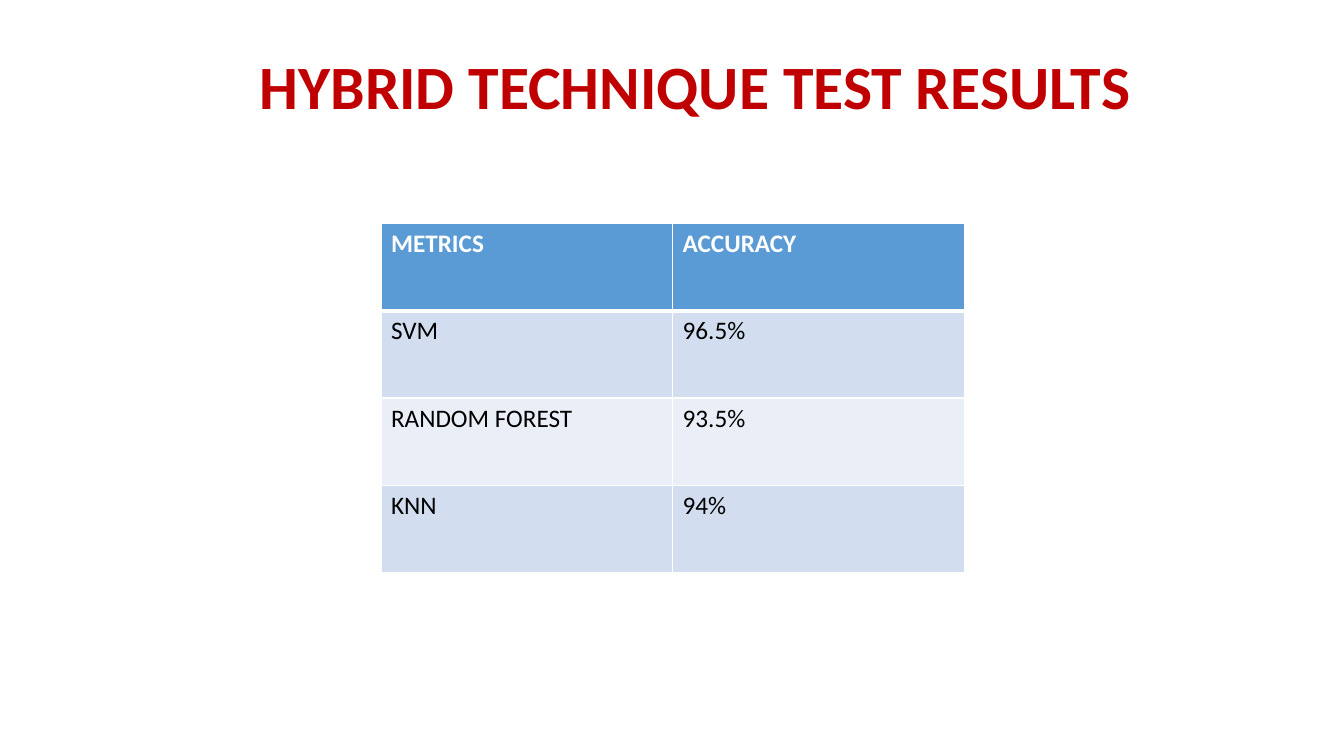
import pptx
import pptx.dml.color
import pptx.enum.text
import pptx.oxml.ns
import pptx.util
import lxml.etree

Cm = pptx.util.Cm
Pt = pptx.util.Pt
FONT = "Calibri"
WHITE = "FFFFFF"
HEADER_FILL = "5B9BD5"
BAND_FILLS = ("D2DEEF", "EAEFF7")
RESULTS = [
    ("METRICS", "ACCURACY"),
    ("SVM", "96.5%"),
    ("RANDOM FOREST", "93.5%"),
    ("KNN", "94%"),
]


def color(value):
    return pptx.dml.color.RGBColor.from_string(value)


def add_run(p, text, size, hex_color, bold=False):
    r = p.add_run()
    r.text = text
    r.font.name = FONT
    r.font.size = Pt(size)
    r.font.bold = bold
    r.font.color.rgb = color(hex_color)


def set_border(cell, side, hex_color, width):
    qn = pptx.oxml.ns.qn
    tcPr = cell._tc.get_or_add_tcPr()
    ln = lxml.etree.SubElement(tcPr, qn("a:" + side), w=str(Pt(width)))
    fill = lxml.etree.SubElement(ln, qn("a:solidFill"))
    lxml.etree.SubElement(fill, qn("a:srgbClr"), val=hex_color)


def place_title(s, text, left, top, width, height):
    sp = s.shapes.title
    sp.left, sp.top, sp.width, sp.height = left, top, width, height
    tf = sp.text_frame
    tf.word_wrap = True
    tf.vertical_anchor = pptx.enum.text.MSO_ANCHOR.MIDDLE
    p = tf.paragraphs[0]
    p.alignment = pptx.enum.text.PP_ALIGN.CENTER
    add_run(p, text, 44, "C00000", bold=True)


def place_table(s, rows, left, top, width, height):
    table = s.shapes.add_table(
        len(rows), len(rows[0]), left, top, width, height).table
    for i, values in enumerate(rows):
        header = i == 0
        for j, value in enumerate(values):
            cell = table.cell(i, j)
            # Borders, with a heavier rule between header and body
            for side in ("lnL", "lnR", "lnT", "lnB"):
                heavy = (i, side) in ((0, "lnB"), (1, "lnT"))
                set_border(cell, side, WHITE, 3 if heavy else 1)
            # Banded fill
            cell.fill.solid()
            cell.fill.fore_color.rgb = color(
                HEADER_FILL if header else BAND_FILLS[(i - 1) % 2])
            # Text
            add_run(cell.text_frame.paragraphs[0], value, 18,
                    WHITE if header else "000000", bold=header)


def main():
    prs = pptx.Presentation()
    prs.slide_width, prs.slide_height = Cm(33.87), Cm(19.05)
    s = prs.slides.add_slide(prs.slide_layouts[5])

    # Title
    place_title(s, "HYBRID TECHNIQUE TEST RESULTS",
                Cm(2.95), Cm(1.07), Cm(29.16), Cm(2.13))

    # Accuracy table
    place_table(s, RESULTS, Cm(9.6), Cm(5.63), Cm(14.7), Cm(8.8))

    prs.save("out.pptx")


if __name__ == "__main__":
    main()
